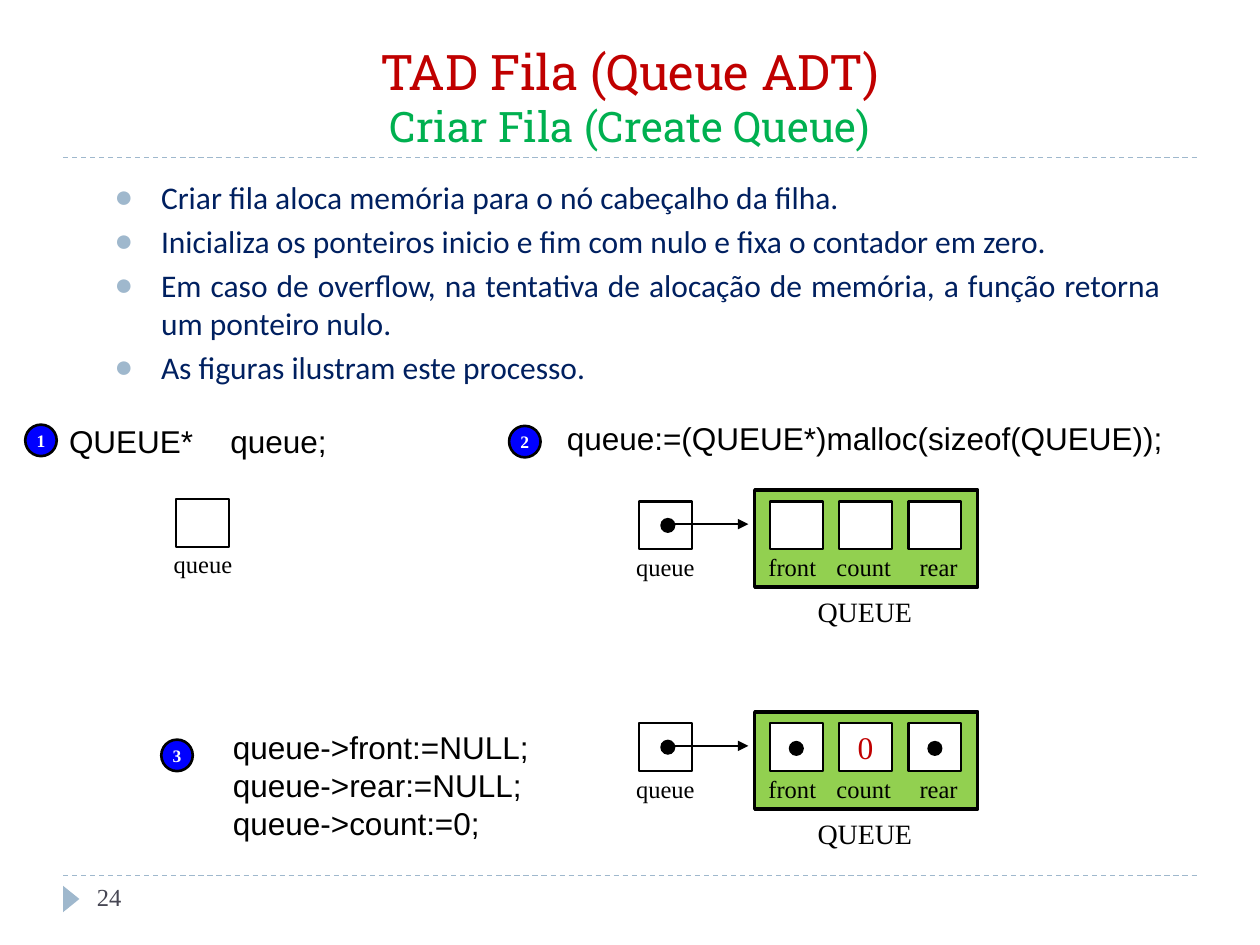
from dataclasses import dataclass

from lxml.etree import SubElement
from pptx import Presentation
from pptx.dml.color import RGBColor
from pptx.enum.dml import MSO_LINE
from pptx.enum.shapes import MSO_CONNECTOR as Connector, MSO_SHAPE as Shape
from pptx.enum.text import MSO_ANCHOR as Anchor, MSO_AUTO_SIZE as AutoSize, PP_ALIGN as Align
from pptx.oxml.ns import qn
from pptx.util import Inches, Pt


@dataclass(frozen=True)
class Style:
    font: str
    size: float
    color: str
    bold: bool = False


@dataclass(frozen=True)
class Theme:
    black: str = "000000"
    white: str = "FFFFFF"
    accent: str = "9FB8CD"
    badge: str = "0000FF"
    record: str = "92D050"
    title: Style = Style("Roboto Slab", 28, "C00000")
    subtitle: Style = Style("Roboto Slab", 24, "00B050")
    body: Style = Style("Calibri", 18, "002060")
    code: Style = Style("Arial", 18, "000000")
    caption: Style = Style("Times New Roman", 14, "000000")
    record_name: Style = Style("Times New Roman", 16, "000000")
    step: Style = Style("Times New Roman", 10, "FFFFFF", True)
    value: Style = Style("Times New Roman", 18, "C00000")
    page_number: Style = Style("Times New Roman", 14, "464653")


@dataclass(frozen=True)
class Step:
    number: str
    badge: tuple[float, float]
    code_box: tuple[float, float, float, float]
    code: tuple[str, ...]


@dataclass(frozen=True)
class Field:
    name: str
    caption_left: float
    caption_width: float


THEME = Theme()
CELL_WIDTH, CELL_HEIGHT, CELL_PITCH = 0.42, 0.38, 0.55
DOT = 0.12
BULLETS = (
    "Criar fila aloca memória para o nó cabeçalho da filha.",
    "Inicializa os ponteiros inicio e fim com nulo e fixa o contador em zero.",
    "Em caso de overflow, na tentativa de alocação de memória, a função retorna um ponteiro nulo.",
    "As figuras ilustram este processo.",
)
STEPS = (
    Step("1", (0.2, 3.37), (0.45, 3.3, 2.33, 0.4), ("QUEUE*\tqueue;",)),
    Step("2", (4.04, 3.38), (4.4, 3.28, 5.05, 0.4), ("queue:=(QUEUE*)malloc(sizeof(QUEUE));",)),
    Step("3", (1.28, 5.87), (1.75, 5.73, 2.57, 1.01),
         ("queue->front:=NULL;", "queue->rear:=NULL;", "queue->count:=0;")),
)
FIELDS = (Field("front", 6, 0.58), Field("count", 6.54, 0.64), Field("rear", 7.2, 0.51))


def rgb(color: str) -> RGBColor:
    return RGBColor.from_string(color)


def add_run(para, text: str, style: Style) -> None:
    span = para.add_run()
    span.text = text
    span.font.name = style.font
    span.font.size = Pt(style.size)
    span.font.bold = style.bold
    span.font.color.rgb = rgb(style.color)


def add_text(shapes, left: float, top: float, width: float, height: float,
             lines: tuple[str, ...], style: Style, wrap: bool = False):
    box = shapes.add_textbox(Inches(left), Inches(top), Inches(width), Inches(height))
    frame = box.text_frame
    frame.word_wrap = wrap
    for index, line in enumerate(lines):
        para = frame.add_paragraph() if index else frame.paragraphs[0]
        add_run(para, line, style)
    return frame


def add_figure(shapes, kind: Shape, left: float, top: float, width: float, height: float,
               fill: str, line_width: float = 0, label: str = "", style: Style = THEME.value):
    """Draw a filled preset shape; a line width of zero means no outline."""
    shape = shapes.add_shape(kind, Inches(left), Inches(top), Inches(width), Inches(height))
    shape.shadow.inherit = False
    shape.fill.solid()
    shape.fill.fore_color.rgb = rgb(fill)
    if line_width:
        shape.line.color.rgb = rgb(THEME.black)
        shape.line.width = Pt(line_width)
    else:
        shape.line.fill.background()
    if label:
        frame = shape.text_frame
        frame.word_wrap = False
        frame.vertical_anchor = Anchor.MIDDLE
        frame.paragraphs[0].alignment = Align.CENTER
        add_run(frame.paragraphs[0], label, style)
    return shape


def add_line(shapes, start: tuple[float, float], end: tuple[float, float], color: str, width: float):
    line = shapes.add_connector(Connector.STRAIGHT, *map(Inches, start + end))
    line.line.color.rgb = rgb(color)
    line.line.width = Pt(width)
    SubElement(line.element.spPr, qn("a:effectLst"))
    return line


def add_cell(shapes, left: float, top: float, label: str = "") -> None:
    add_figure(shapes, Shape.RECTANGLE, left, top, CELL_WIDTH, CELL_HEIGHT, THEME.white, 1.25, label)


def add_dot(shapes, left: float, top: float) -> None:
    add_figure(shapes, Shape.OVAL, left, top, DOT, DOT, THEME.black)


def add_pointer(shapes, left: float, top: float) -> None:
    """Draw the queue variable: an empty cell with its name below."""
    add_cell(shapes, left, top)
    add_text(shapes, left - 0.12, top + 0.35, 0.67, 0.34, ("queue",), THEME.caption)


def add_record(page, top: float, count: str = "", null_ends: bool = False) -> None:
    """Draw the queue variable pointing at its header node."""
    shapes = page.shapes.add_group_shape().shapes
    add_text(shapes, 6.39, top + 0.78, 0.96, 0.37, ("QUEUE",), THEME.record_name)
    add_figure(shapes, Shape.RECTANGLE, 5.99, top, 1.77, 0.77, THEME.record, 2)
    cell_top = top + 0.09
    for index, field in enumerate(FIELDS):
        left = 6.11 + index * CELL_PITCH
        is_count = field.name == "count"
        add_cell(shapes, left, cell_top, count if is_count else "")
        add_text(shapes, field.caption_left, top + 0.44, field.caption_width, 0.34,
                 (field.name,), THEME.caption)
        if null_ends and not is_count:
            add_dot(shapes, left + 0.15, top + 0.23)
    add_pointer(shapes, 5.07, cell_top)
    arrow = add_line(shapes, (5.35, top + 0.27), (5.94, top + 0.27), THEME.black, 1.5)
    SubElement(arrow.line._get_or_add_ln(), qn("a:tailEnd"), type="triangle")
    add_dot(shapes, 5.24, top + 0.22)


def add_title(page) -> None:
    title = page.shapes.title
    title.left, title.top, title.width, title.height = map(Inches, (0.5, 0.25, 9, 1))
    frame = title.text_frame
    frame.auto_size = AutoSize.NONE
    frame.vertical_anchor = Anchor.BOTTOM
    para = frame.paragraphs[0]
    para.alignment = Align.CENTER
    add_run(para, "TAD Fila (Queue ADT)", THEME.title)
    para.add_line_break()
    add_run(para, "Criar Fila (Create Queue)", THEME.subtitle)


def add_bullets(page) -> None:
    frame = add_text(page.shapes, 0.81, 1.36, 8.5, 1.88, BULLETS, THEME.body, wrap=True)
    for index, para in enumerate(frame.paragraphs):
        para.alignment = Align.JUSTIFY
        para.space_before = Pt(3.6 if index else 0)
        props = para._p.get_or_add_pPr()
        props.set("marL", str(Inches(0.37)))
        props.set("indent", str(Inches(-0.37)))
        SubElement(SubElement(props, qn("a:buClr")), qn("a:srgbClr"), val=THEME.accent)
        SubElement(props, qn("a:buFont"), typeface="Arial")
        SubElement(props, qn("a:buChar"), char="●")


def add_step(page, step: Step) -> None:
    frame = add_text(page.shapes, *step.code_box, step.code, THEME.code, wrap=True)
    if "\t" in step.code[0]:
        tabs = SubElement(frame.paragraphs[0]._p.get_or_add_pPr(), qn("a:tabLst"))
        SubElement(tabs, qn("a:tab"), pos=str(Inches(1.28)), algn="l")
    add_figure(page.shapes, Shape.OVAL, *step.badge, 0.25, 0.25, THEME.badge, 1.5,
               step.number, THEME.step)


def main() -> None:
    deck = Presentation()
    deck.slide_width, deck.slide_height = Inches(10), Inches(7.5)
    page = deck.slides.add_slide(deck.slide_layouts[5])
    for height in (6.95, 1.25):
        rule = add_line(page.shapes, (0.5, height), (9.5, height), THEME.accent, 0.75)
        rule.line.dash_style = MSO_LINE.DASH
    marker = add_figure(page.shapes, Shape.ISOSCELES_TRIANGLE, 0.46, 7.07, 0.21, 0.13, THEME.accent)
    marker.rotation = 90
    add_title(page)
    add_text(page.shapes, 0.67, 6.95, 2.17, 0.4, ("24",), THEME.page_number, wrap=True)
    add_bullets(page)
    add_pointer(page.shapes, 1.4, 3.96)
    for step in STEPS:
        add_step(page, step)
    add_record(page, 3.89)
    add_record(page, 5.65, count="0", null_ends=True)
    deck.save("out.pptx")


if __name__ == "__main__":
    main()
